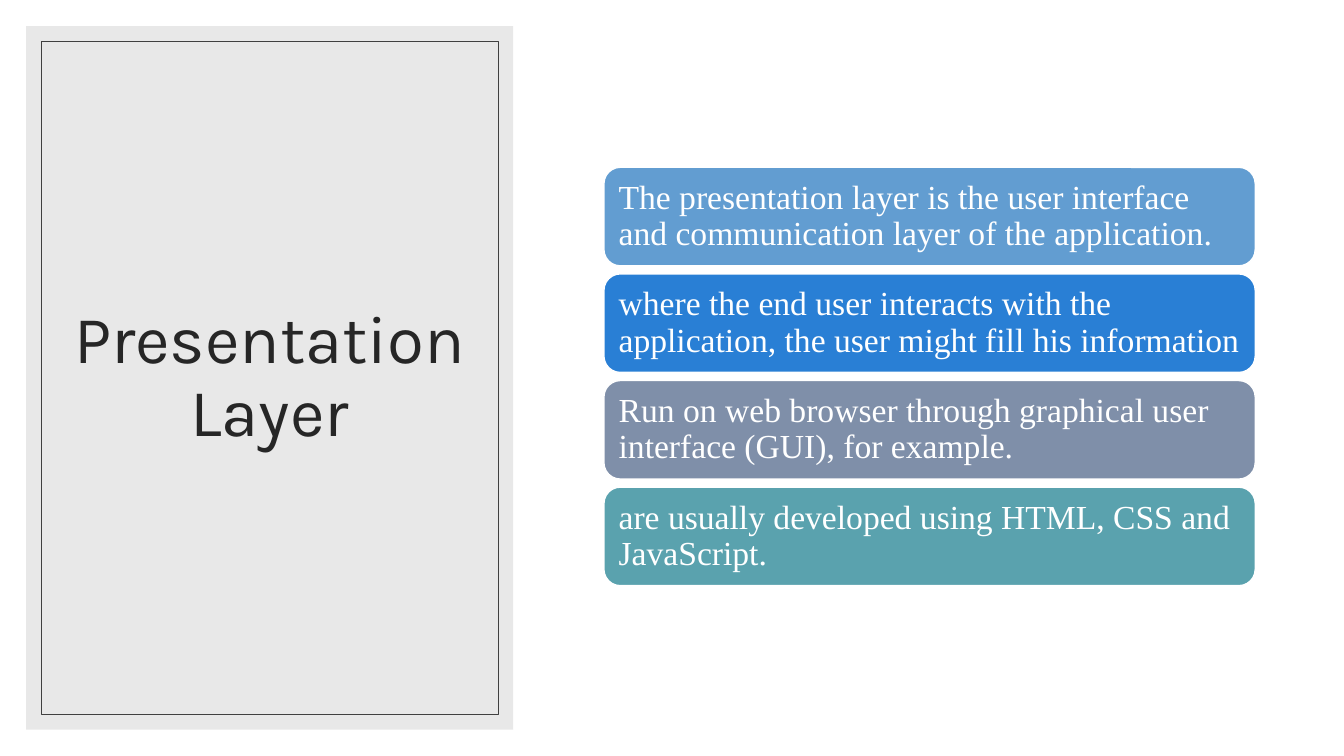
from dataclasses import dataclass

from lxml import etree
from pptx import Presentation, util as u
from pptx.dml.color import RGBColor
from pptx.enum import shapes, text
from pptx.oxml.ns import qn

WIDE, HIGH = 13.33, 7.5


@dataclass(frozen=True)
class Theme:
    panel: str = "D9D9D9"
    alpha: int = 60
    frame: str = "404040"
    ink: str = "262626"
    paper: str = "FFFFFF"
    cards: tuple = ("629DD1", "297FD5", "7F8FA9", "5AA2AE")
    head: str = "Karla"
    body: str = "Times New Roman"
    big: int = 48
    small: int = 24


THEME = Theme()
TITLE = "Presentation Layer"
POINTS = (
    "The presentation layer is the user interface and communication layer of the application.",
    "where the end user interacts with the application, the user might fill his information",
    "Run on web browser through graphical user interface (GUI), for example.",
    "are usually developed using HTML, CSS and JavaScript.",
)


def apply(item, form):
    for name, value in form.items():
        setattr(item, name, value)


def inset(box, dx, dy):
    x, y, w, h = box
    return x + dx, y + dy, w - 2 * dx, h - 2 * dy


def block(slide, kind, box, fill=None, line=None, width=1):
    shape = slide.shapes.add_shape(kind, *map(u.Inches, box))
    shape.shadow.inherit = False
    if fill:
        shape.fill.solid()
        shape.fill.fore_color.rgb = RGBColor.from_string(fill)
    else:
        shape.fill.background()
    if line:
        shape.line.color.rgb = RGBColor.from_string(line)
        shape.line.width = u.Pt(width)
    else:
        shape.line.fill.background()
    return shape


def write(shape, words, face, size, color, align, pad):
    frame = shape.text_frame
    frame.text = words
    sides = ("left", "right", "top", "bottom")
    apply(frame, {f"margin_{side}": u.Inches(pad) for side in sides})
    apply(frame, dict(word_wrap=True, auto_size=text.MSO_AUTO_SIZE.NONE,
                      vertical_anchor=text.MSO_ANCHOR.MIDDLE))
    para = frame.paragraphs[0]
    apply(para, dict(alignment=align, line_spacing=0.9))
    font = para.runs[0].font
    apply(font, dict(name=face, size=u.Pt(size)))
    font.color.rgb = RGBColor.from_string(color)


def title_panel(slide, box):
    rect = shapes.MSO_SHAPE.RECTANGLE
    panel = block(slide, rect, box, THEME.panel)
    tint = panel.fill._xPr.find(".//" + qn("a:srgbClr"))
    etree.SubElement(tint, qn("a:alpha"), val=str(THEME.alpha * 1000))
    title = slide.shapes.title
    panel._element.addnext(title._element)
    spot = inset(box, 0.36, 0.36)
    apply(title, dict(zip(("left", "top", "width", "height"),
                          map(u.Inches, spot))))
    write(title, TITLE, THEME.head, THEME.big, THEME.ink,
          text.PP_ALIGN.CENTER, 0.1)
    block(slide, rect, inset(box, 0.15, 0.15), line=THEME.frame, width=0.5)


def card_list(slide, box, gap=0.08):
    """Stack the points as cards of equal height that fill the box."""
    x, y, w, h = box
    tall = (h - gap * (len(POINTS) - 1)) / len(POINTS)
    for row, (words, color) in enumerate(zip(POINTS, THEME.cards)):
        spot = x, y + row * (tall + gap), w, tall
        card = block(slide, shapes.MSO_SHAPE.ROUNDED_RECTANGLE, spot,
                     color, THEME.paper)
        write(card, words, THEME.body, THEME.small, THEME.paper,
              text.PP_ALIGN.LEFT, 0.1)


def main():
    deck = Presentation()
    apply(deck, dict(slide_width=u.Inches(WIDE), slide_height=u.Inches(HIGH)))
    slide = deck.slides.add_slide(deck.slide_layouts[5])
    slide.background.fill.solid()
    slide.background.fill.fore_color.rgb = RGBColor.from_string(THEME.paper)
    title_panel(slide, (0.26, 0.26, 4.83, 6.98))
    card_list(slide, (5.99, 1.66, 6.46, 4.15))
    deck.save("out.pptx")


if __name__ == "__main__":
    main()
